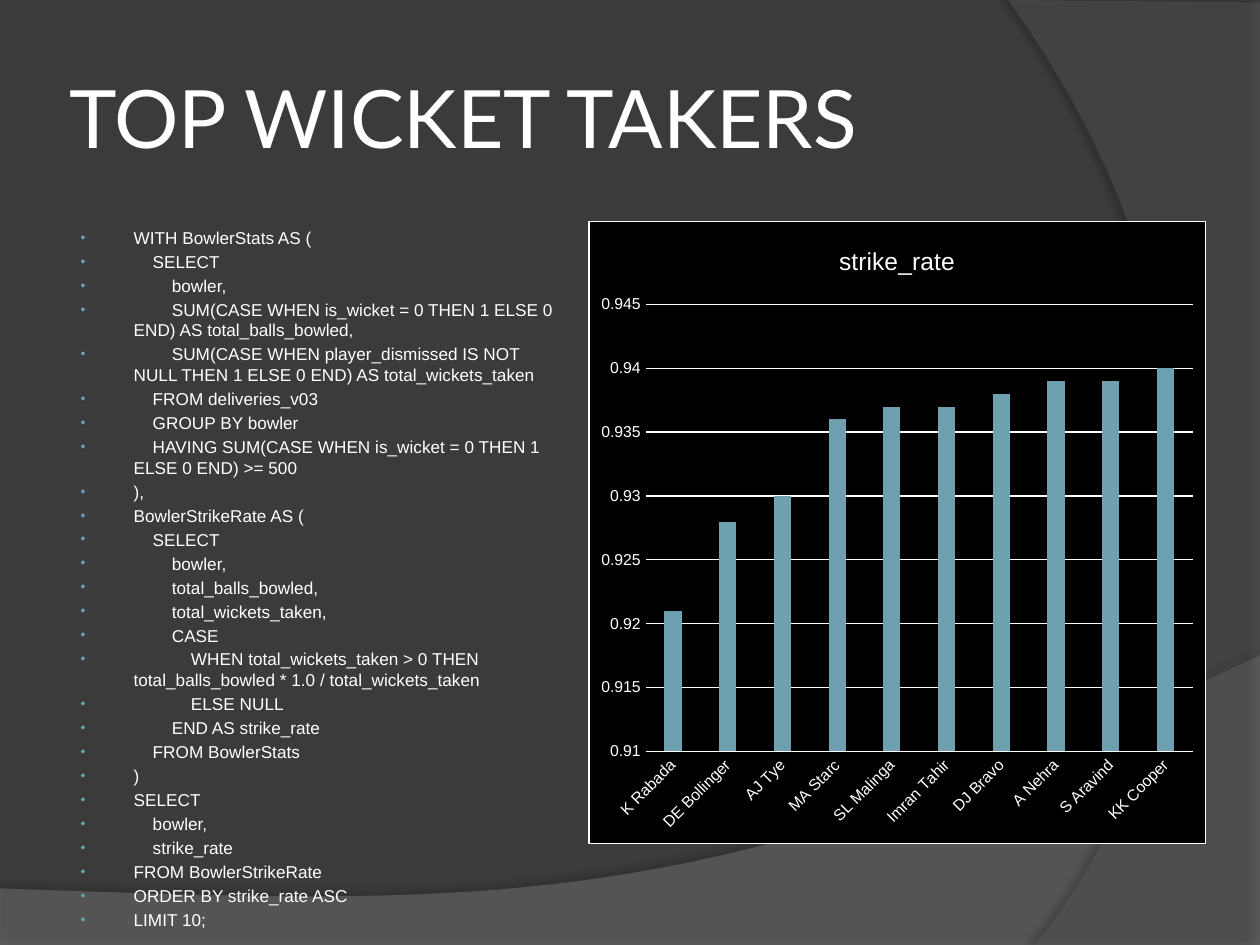
"""Build the slide on top wicket takers: a query beside a strike rate chart."""
from lxml import etree
from pptx import Presentation
from pptx.chart.data import CategoryChartData
from pptx.dml.color import RGBColor
from pptx.enum.chart import XL_CHART_TYPE, XL_TICK_MARK
from pptx.enum.text import MSO_ANCHOR, MSO_AUTO_SIZE, PP_ALIGN
from pptx.oxml import parse_xml
from pptx.oxml.ns import nsdecls, qn
from pptx.util import Cm, Pt

WHITE, BLACK, TEAL = "FFFFFF", "000000", "6EA0B0"

QUERY = """WITH BowlerStats AS (
    SELECT
        bowler,
        SUM(CASE WHEN is_wicket = 0 THEN 1 ELSE 0 END) AS total_balls_bowled,
        SUM(CASE WHEN player_dismissed IS NOT NULL THEN 1 ELSE 0 END) AS total_wickets_taken
    FROM deliveries_v03
    GROUP BY bowler
    HAVING SUM(CASE WHEN is_wicket = 0 THEN 1 ELSE 0 END) >= 500
),
BowlerStrikeRate AS (
    SELECT
        bowler,
        total_balls_bowled,
        total_wickets_taken,
        CASE
            WHEN total_wickets_taken > 0 THEN total_balls_bowled * 1.0 / total_wickets_taken
            ELSE NULL
        END AS strike_rate
    FROM BowlerStats
)
SELECT
    bowler,
    strike_rate
FROM BowlerStrikeRate
ORDER BY strike_rate ASC
LIMIT 10;"""

STRIKE_RATES = {
    "K Rabada": 0.921, "DE Bollinger": 0.928, "AJ Tye": 0.930, "MA Starc": 0.936,
    "SL Malinga": 0.937, "Imran Tahir": 0.937, "DJ Bravo": 0.938, "A Nehra": 0.939,
    "S Aravind": 0.939, "KK Cooper": 0.940,
}

WAVES = [
    {"corners": [(0, 17.91), (0, 19.05), (25.4, 19.05), (25.4, 13.21)],
     "curve": [(14.2, 18.52), (9.93, 18.26), (0, 17.91)],
     "color": "7F7F7F", "alpha": 45, "shadow_alpha": 35, "distance": 3.5, "angle": 270},
    {"corners": [(25.4, 0.05), (25.4, 19.05), (20.85, 19.05)],
     "curve": [(23.75, 15.72), (25.86, 7.62), (20.32, 0)],
     "color": "5E5E5E", "alpha": 40, "shadow_alpha": 45, "distance": 4, "angle": 180},
]


def paint(fill, color):
    fill.solid()
    fill.fore_color.rgb = RGBColor.from_string(color)


def style(font, name, size):
    for attribute, value in {"name": name, "size": Pt(size), "bold": False}.items():
        setattr(font, attribute, value)
    paint(font.fill, WHITE)


prs = Presentation()
prs.slide_width, prs.slide_height = Cm(25.4), Cm(19.05)
slide = prs.slides.add_slide(prs.slide_layouts[1])
paint(slide.background.fill, "3B3B3B")

for depth, wave in enumerate(WAVES):
    bend = [wave["corners"][-1], *wave["curve"]]
    outline = list(wave["corners"])
    for step in range(1, 41):
        t = step / 40
        weights = [(1 - t) ** 3, 3 * t * (1 - t) ** 2, 3 * t ** 2 * (1 - t), t ** 3]
        outline.append([sum(w * point[axis] for w, point in zip(weights, bend)) for axis in (0, 1)])
    points = [(Cm(x), Cm(y)) for x, y in outline]
    builder = slide.shapes.build_freeform(*points[0])
    builder.add_line_segments(points[1:])
    band = builder.convert_to_shape()
    paint(band.fill, wave["color"])
    band.line.fill.background()
    tint = band.element.spPr.find(".//" + qn("a:srgbClr"))
    etree.SubElement(tint, qn("a:alpha"), val=str(wave["alpha"] * 1000))
    band.element.spPr.append(parse_xml(
        f'<a:effectLst {nsdecls("a")}><a:outerShdw blurRad="{Pt(4)}" dist="{Pt(wave["distance"])}" '
        f'dir="{wave["angle"] * 60000}" algn="ctr" rotWithShape="0"><a:srgbClr val="{BLACK}">'
        f'<a:alpha val="{wave["shadow_alpha"] * 1000}"/></a:srgbClr></a:outerShdw></a:effectLst>'))
    slide.shapes.element.insert(2 + depth, band.element)

heading, query = slide.placeholders
places = [
    (heading, {"left": 1.27, "top": 0.76, "width": 20.75, "height": 3.18}),
    (query, {"left": 1.27, "top": 4.45, "width": 10.16, "height": 12.57}),
]
for placeholder, place in places:
    for side, length in place.items():
        setattr(placeholder, side, Cm(length))
    placeholder.text_frame.auto_size = MSO_AUTO_SIZE.NONE

heading.text_frame.text = "TOP WICKET TAKERS"
heading.text_frame.vertical_anchor = MSO_ANCHOR.MIDDLE
for side in ("left", "top", "right", "bottom"):
    setattr(heading.text_frame, f"margin_{side}", Cm(0.13))
heading.text_frame.paragraphs[0].alignment = PP_ALIGN.LEFT
style(heading.text_frame.paragraphs[0].runs[0].font, "Lato", 46)

query.text_frame.text = QUERY
spacing = {"line_spacing": Pt(11.85), "space_before": Pt(1.85), "space_after": Pt(0)}
for statement in query.text_frame.paragraphs:
    for attribute, value in spacing.items():
        setattr(statement, attribute, value)
    style(statement.runs[0].font, "Arial", 9.8)
    properties = statement._p.get_or_add_pPr()
    properties.set("marL", str(Cm(1.17)))
    properties.set("indent", str(Cm(-1.07)))
    bullet_color = etree.SubElement(properties, qn("a:buClr"))
    etree.SubElement(bullet_color, qn("a:srgbClr"), val=TEAL)
    etree.SubElement(properties, qn("a:buSzPct"), val="80000")
    etree.SubElement(properties, qn("a:buFont"), typeface="Arial")
    etree.SubElement(properties, qn("a:buChar"), char="•")

rates = CategoryChartData()
rates.categories = list(STRIKE_RATES)
rates.add_series("strike_rate", list(STRIKE_RATES.values()))
chart = slide.shapes.add_chart(XL_CHART_TYPE.COLUMN_CLUSTERED, Cm(11.86), Cm(4.45),
                               Cm(12.45), Cm(12.57), rates).chart
style(chart.font, "Arial", 10)
chart.has_legend = False
chart.chart_title.text_frame.text = "strike_rate"
style(chart.chart_title.text_frame.paragraphs[0].runs[0].font, "Arial", 14)
chart.element.find(qn("c:chart")).addnext(parse_xml(
    f'<c:spPr {nsdecls("c", "a")}><a:solidFill><a:srgbClr val="{BLACK}"/></a:solidFill>'
    f'<a:ln w="{Pt(0.75)}"><a:solidFill><a:srgbClr val="{WHITE}"/></a:solidFill></a:ln></c:spPr>'))

columns = chart.plots[0]
for attribute, value in {"gap_width": 219, "overlap": -27, "vary_by_categories": False}.items():
    setattr(columns, attribute, value)
paint(columns.series[0].format.fill, TEAL)

bowlers, scale = chart.category_axis, chart.value_axis
for axis in (bowlers, scale):
    axis.major_tick_mark = axis.minor_tick_mark = XL_TICK_MARK.NONE
    style(axis.tick_labels.font, "Arial", 9)
limits = {"minimum_scale": 0.91, "maximum_scale": 0.945, "major_unit": 0.005,
          "has_major_gridlines": True}
for attribute, value in limits.items():
    setattr(scale, attribute, value)
scale.format.line.fill.background()
for line in (bowlers.format.line, scale.major_gridlines.format.line):
    paint(line.fill, WHITE)
    line.width = Pt(0.75)
chart.element.xpath(".//c:catAx/c:txPr/a:bodyPr")[0].set("rot", "-2700000")

prs.save("out.pptx")
